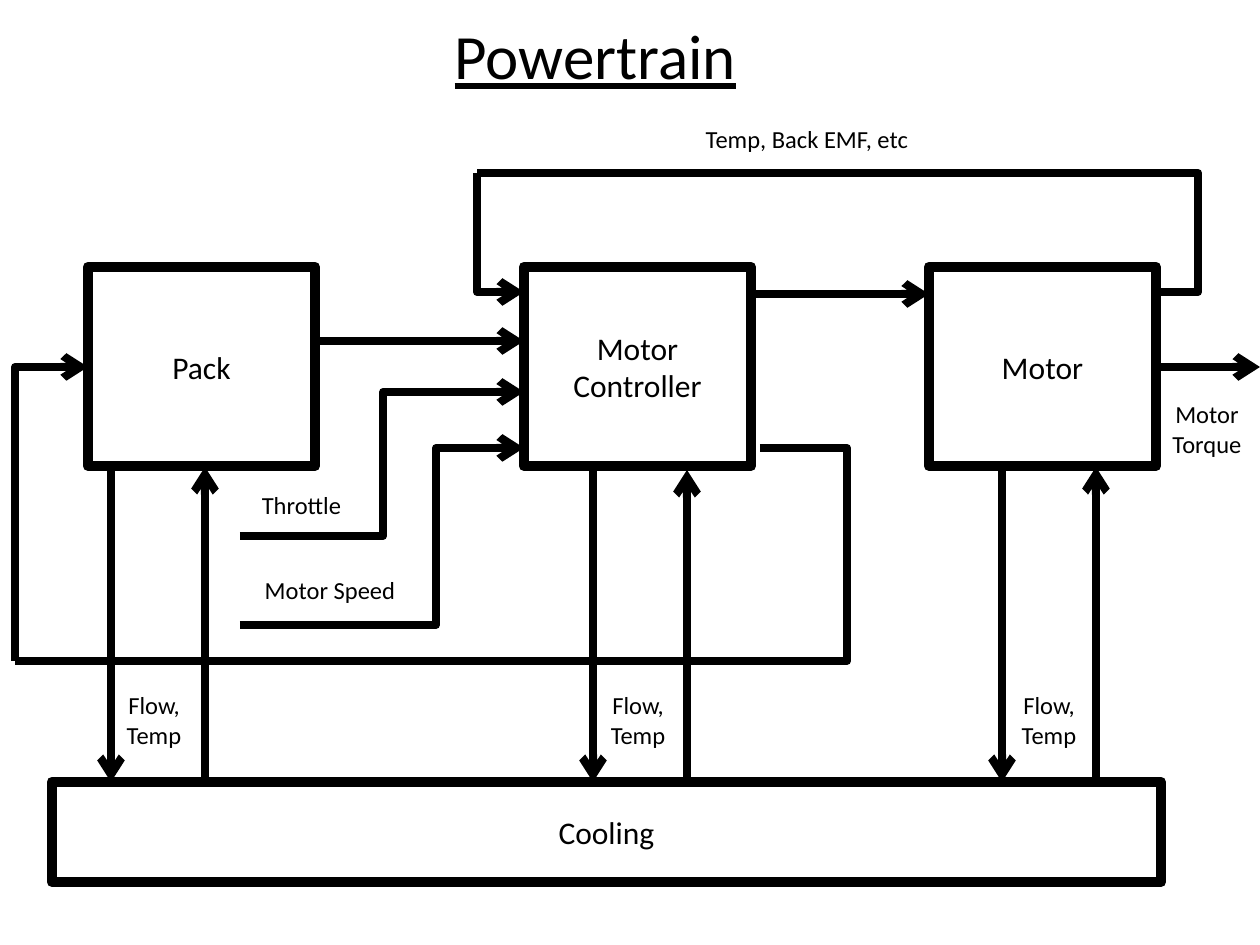
from lxml import etree
from pptx import Presentation
from pptx import util as u
from pptx.dml.color import RGBColor
from pptx.enum import shapes, text
from pptx.oxml import ns

BLACK = RGBColor(0, 0, 0)
WHITE = RGBColor(255, 255, 255)
PX_PER_INCH = 126


def px(length):
    return u.Inches(length / PX_PER_INCH)


def write_text(shape, content, size, anchor=text.MSO_ANCHOR.TOP, underline=None):
    frame = shape.text_frame
    frame.word_wrap = True
    frame.auto_size = text.MSO_AUTO_SIZE.NONE
    frame.vertical_anchor = anchor
    frame.text = content
    for paragraph in frame.paragraphs:
        paragraph.alignment = text.PP_ALIGN.CENTER
        font = paragraph.font
        font.name, font.size, font.underline = "Calibri", u.Pt(size), underline
        font.color.rgb = BLACK


class Diagram:
    box_line, arrow_line = 6, 4.5
    box_size, label_size, title_size = 18, 14, 36

    def __init__(self, slide):
        self.slide = slide

    def title(self, content, *place):
        shape = self.slide.shapes.title
        shape.left, shape.top, shape.width, shape.height = map(px, place)
        write_text(shape, content, self.title_size, underline=True)

    def box(self, content, *place):
        shape = self.slide.shapes.add_shape(
            shapes.MSO_SHAPE.RECTANGLE, *map(px, place))
        shape.shadow.inherit = False
        shape.fill.solid()
        shape.fill.fore_color.rgb = WHITE
        shape.line.color.rgb = BLACK
        shape.line.width = u.Pt(self.box_line)
        write_text(shape, content, self.box_size, text.MSO_ANCHOR.MIDDLE)

    def label(self, content, *place):
        shape = self.slide.shapes.add_textbox(*map(px, place))
        write_text(shape, content, self.label_size)

    def connector(self, begin, end, kind=shapes.MSO_CONNECTOR.STRAIGHT, arrow=True):
        line = self.slide.shapes.add_connector(kind, *map(px, begin + end))
        line.line.color.rgb = BLACK
        line.line.width = u.Pt(self.arrow_line)
        properties = line._element.spPr
        if arrow:
            outline = properties.find(ns.qn("a:ln"))
            etree.SubElement(outline, ns.qn("a:tailEnd"), type="arrow")
        etree.SubElement(properties, ns.qn("a:effectLst"))
        return line

    def elbow(self, begin, end, turn_x, arrow=True):
        """Run from begin to end with the vertical part at turn_x."""
        line = self.connector(begin, end, shapes.MSO_CONNECTOR.ELBOW, arrow)
        ratio = (turn_x - begin[0]) / (end[0] - begin[0])
        geometry = line._element.spPr.find(ns.qn("a:prstGeom"))
        guides = geometry.find(ns.qn("a:avLst"))
        if guides is None:
            guides = etree.SubElement(geometry, ns.qn("a:avLst"))
        etree.SubElement(guides, ns.qn("a:gd"), name="adj1",
                         fmla=f"val {round(ratio * 100000)}")


def main():
    presentation = Presentation()
    presentation.slide_width, presentation.slide_height = px(1260), px(945)
    slide = presentation.slides.add_slide(presentation.slide_layouts[5])
    diagram = Diagram(slide)
    diagram.title("Powertrain", 116, 10, 959, 89)

    # Components and cooling
    box_top, box_width, box_height = 267, 227, 199
    pack, controller, motor = 88, 524, 929
    for name, left in (("Pack", pack), ("Motor Controller", controller),
                       ("Motor", motor)):
        diagram.box(name, left, box_top, box_width, box_height)
    cooling_top = 782
    diagram.box("Cooling", 52, cooling_top, 1109, 100)

    # Coolant loops: down to cooling and back up
    for down_x, tip_y, label_x in ((111, 467, 107), (593, 470, 591),
                                   (1002, 467, 1002)):
        up_x = down_x + 94
        diagram.connector((down_x, tip_y), (down_x, cooling_top))
        diagram.connector((up_x, cooling_top), (up_x, tip_y))
        diagram.label("Flow,\nTemp", label_x, 684, 94, 72)

    # Drive path from pack to output
    diagram.connector((pack + box_width, 341), (controller, 341))
    diagram.connector((controller + box_width, 294), (motor, 294))
    diagram.connector((motor + box_width, 367), (1260, 367))
    diagram.label("Motor Torque", 1160, 393, 94, 72)

    # Driver inputs to the controller
    diagram.elbow((240, 536), (controller, 392), 383)
    diagram.label("Throttle", 242, 484, 119, 43)
    diagram.elbow((240, 625), (controller, 448), 436)
    diagram.label("Motor Speed", 252, 569, 156, 43)

    # Motor feedback to the controller
    diagram.elbow((1160, 292), (477, 173), 1198, arrow=False)
    diagram.elbow((477, 173), (controller, 292), 477)
    diagram.label("Temp, Back EMF, etc", 655, 118, 304, 43)

    # Controller feedback to the pack
    diagram.elbow((760, 448), (15, 661), 847, arrow=False)
    diagram.elbow((15, 661), (pack, 367), 15)

    presentation.save("out.pptx")


if __name__ == "__main__":
    main()
